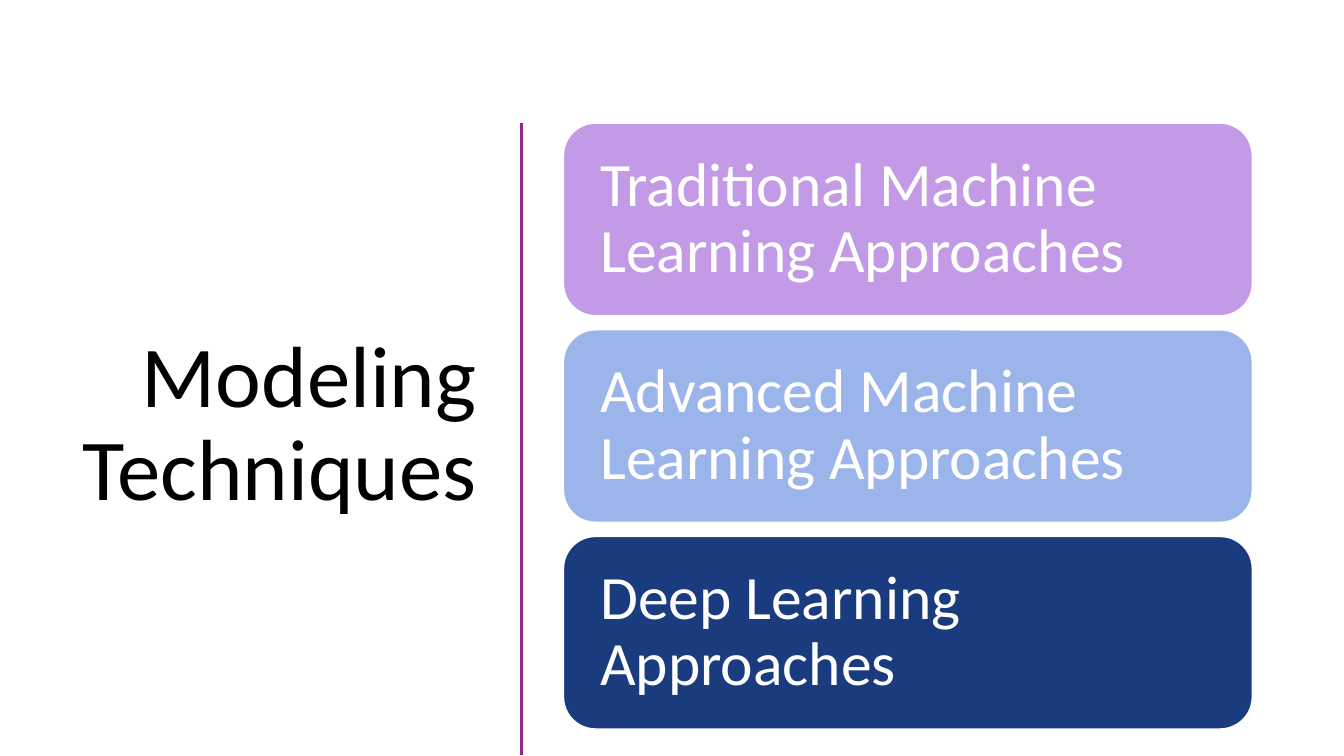
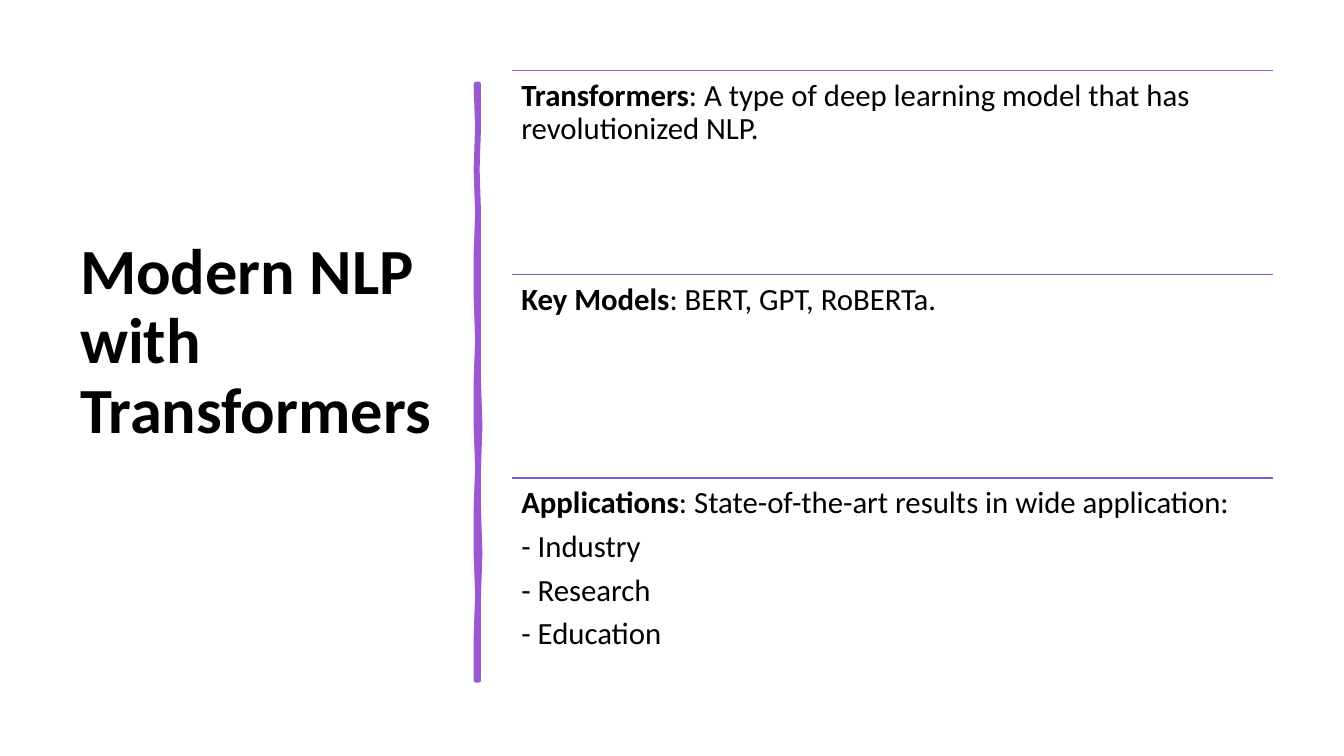
from dataclasses import dataclass

from lxml import etree
from pptx import Presentation
from pptx.dml.color import RGBColor
from pptx.enum.shapes import MSO_CONNECTOR, MSO_SHAPE
from pptx.enum.text import MSO_ANCHOR, MSO_AUTO_SIZE, PP_ALIGN
from pptx.oxml.ns import qn
from pptx.util import Pt

STRAIGHT = MSO_CONNECTOR.STRAIGHT
ROUNDED = MSO_SHAPE.ROUNDED_RECTANGLE
MIDDLE, TOP = MSO_ANCHOR.MIDDLE, MSO_ANCHOR.TOP
LEFT, RIGHT = PP_ALIGN.LEFT, PP_ALIGN.RIGHT
NO_AUTOFIT = MSO_AUTO_SIZE.NONE
TITLE_ONLY = 5


@dataclass(frozen=True)
class Theme:
    font: str = "Calibri"
    ink: str = "000000"
    paper: str = "FFFFFF"
    divider: str = "92278F"
    brush: str = "9B57D3"
    section_size: float = 62
    title_size: float = 46
    card_size: float = 44
    body_size: float = 22
    line_spacing: float = 0.9
    space_after: float = 7.5


THEME = Theme()

TECHNIQUES_TITLE = "Modeling Techniques"
TECHNIQUES = [
    ("Traditional Machine Learning Approaches", "C39AE5"),
    ("Advanced Machine Learning Approaches", "9BB4E9"),
    ("Deep Learning Approaches", "1B3B7F"),
]

TRANSFORMERS_TITLE = "Modern NLP with Transformers"
TRANSFORMERS = [
    ("Transformers",
     ": A type of deep learning model that has revolutionized NLP.",
     [], "9B57D3"),
    ("Key Models", ": BERT, GPT, RoBERTa.", [], "885AD6"),
    ("Applications", ": State-of-the-art results in wide application:",
     ["- Industry", "- Research", "- Education"], "755DD9"),
]

CARD_LEFT, CARD_TOP, CARD_WIDTH, CARD_HEIGHT, CARD_GAP = 402.5, 88, 492, 137.5, 10.1
ROW_LEFT, ROW_TOP, ROW_WIDTH, ROW_HEIGHT = 365.8, 50.5, 543.6, 145.4

BRUSH_TOP, BRUSH_STEP = 60.5, 30.4
BRUSH_EDGES = [
    (340.5, 342), (340.7, 342.2), (340, 341.4), (340.6, 342.4), (340.5, 342),
    (340.2, 341.8), (340.8, 342.2), (340.2, 341.7), (339.9, 342.6),
    (340.6, 341.5), (340, 342.3), (340.4, 342.6), (340.6, 341.8),
    (340.2, 342.1), (340.5, 342),
]


def color(value):
    return RGBColor.from_string(value)


def style_frame(frame, anchor, inset):
    frame.word_wrap = True
    frame.auto_size = NO_AUTOFIT
    frame.vertical_anchor = anchor
    frame.margin_left = frame.margin_right = Pt(inset)
    frame.margin_top = frame.margin_bottom = Pt(inset)


def style_para(para, size, ink, align=LEFT, bold=False):
    para.alignment = align
    para.line_spacing = THEME.line_spacing
    for span in para.runs:
        span.font.name = THEME.font
        span.font.size = Pt(size)
        span.font.bold = bold
        span.font.color.rgb = color(ink)


def add_page(deck, text, area, size, align=LEFT, bold=False):
    page = deck.slides.add_slide(deck.slide_layouts[TITLE_ONLY])
    title = page.shapes.title
    title.left, title.top, title.width, title.height = map(Pt, area)
    title.text_frame.text = text
    style_frame(title.text_frame, MIDDLE, 7.2)
    style_para(title.text_frame.paragraphs[0], size, THEME.ink, align, bold)
    return page


def add_line(page, x1, y1, x2, y2, ink, width):
    line = page.shapes.add_connector(STRAIGHT, Pt(x1), Pt(y1), Pt(x2), Pt(y2))
    line.line.color.rgb = color(ink)
    line.line.width = Pt(width)
    etree.SubElement(line._element.spPr, qn("a:effectLst"))


def add_card(page, index, text, fill):
    top = CARD_TOP + index * (CARD_HEIGHT + CARD_GAP)
    card = page.shapes.add_shape(
        ROUNDED, Pt(CARD_LEFT), Pt(top), Pt(CARD_WIDTH), Pt(CARD_HEIGHT))
    card.shadow.inherit = False
    card.fill.solid()
    card.fill.fore_color.rgb = color(fill)
    card.line.color.rgb = color(THEME.paper)
    card.line.width = Pt(1)
    card.text_frame.text = text
    style_frame(card.text_frame, MIDDLE, 19.5)
    style_para(card.text_frame.paragraphs[0], THEME.card_size, THEME.paper)


def add_brush(page):
    levels = [BRUSH_TOP + index * BRUSH_STEP for index in range(len(BRUSH_EDGES))]
    down = [(right, y) for (_, right), y in zip(BRUSH_EDGES, levels)]
    up = [(left, y) for (left, _), y in zip(BRUSH_EDGES, levels)][::-1]
    outline = page.shapes.build_freeform(*down[0], scale=float(Pt(1)))
    outline.add_line_segments(down[1:] + up, close=True)
    brush = outline.convert_to_shape()
    brush.shadow.inherit = False
    brush.fill.solid()
    brush.fill.fore_color.rgb = color(THEME.brush)
    brush.line.color.rgb = color(THEME.brush)
    brush.line.width = Pt(3.25)
    etree.SubElement(brush.line._get_or_add_ln(), qn("a:round"))


def add_row(page, index, term, detail, items, ink):
    top = ROW_TOP + index * ROW_HEIGHT
    add_line(page, ROW_LEFT, top, ROW_LEFT + ROW_WIDTH, top, ink, 1)
    box = page.shapes.add_textbox(
        Pt(ROW_LEFT), Pt(top), Pt(ROW_WIDTH), Pt(ROW_HEIGHT))
    frame = box.text_frame
    style_frame(frame, TOP, 6.6)
    lead = frame.paragraphs[0]
    for text in (term, detail):
        lead.add_run().text = text
    for item in items:
        frame.add_paragraph().text = item
    for para in frame.paragraphs:
        style_para(para, THEME.body_size, THEME.ink)
        para.space_after = Pt(THEME.space_after)
    lead.runs[0].font.bold = True


def main():
    deck = Presentation()
    deck.slide_width, deck.slide_height = Pt(960), Pt(540)

    page = add_page(deck, TECHNIQUES_TITLE, (37.5, 84.2, 310.3, 440),
                    THEME.section_size, align=RIGHT)
    add_line(page, 372.5, 88, 372.5, 539.5, THEME.divider, 2)
    for index, technique in enumerate(TECHNIQUES):
        add_card(page, index, *technique)

    page = add_page(deck, TRANSFORMERS_TITLE, (50, 50, 269.3, 390),
                    THEME.title_size, bold=True)
    add_brush(page)
    for index, row in enumerate(TRANSFORMERS):
        add_row(page, index, *row)

    deck.save("out.pptx")


if __name__ == "__main__":
    main()
